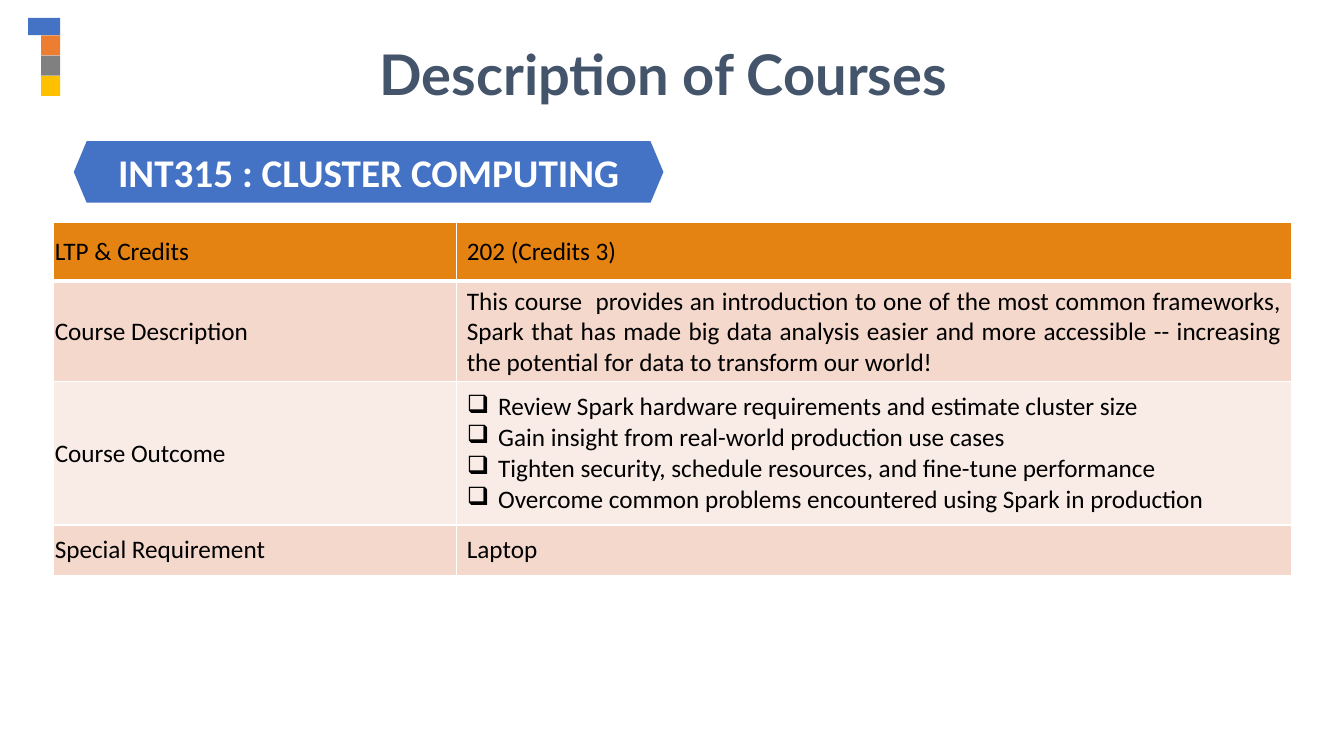
from lxml.etree import SubElement
from pptx import Presentation
from pptx.dml.color import RGBColor
from pptx.enum.shapes import MSO_SHAPE
from pptx.enum.text import MSO_ANCHOR, MSO_AUTO_SIZE, PP_ALIGN
from pptx.oxml import parse_xml
from pptx.oxml.ns import nsdecls, qn
from pptx.util import Cm, Pt

COLORS = {
    "blue": "4472C4", "orange": "ED7D31", "gray": "808080", "yellow": "FFC000",
    "title": "44546A", "white": "FFFFFF", "black": "000000",
    "header": "E48312", "band": "F4D8CC", "light": "F9ECE7",
}
TITLE = "Description of Courses"
COURSE = "INT315 : CLUSTER COMPUTING"
ROWS = [
    ("LTP & Credits", ["202 (Credits 3)"], 1.47, "header", PP_ALIGN.LEFT),
    ("Course Description",
     ["This course  provides an introduction to one of the most common frameworks, "
      "Spark that has made big data analysis easier and more accessible -- increasing "
      "the potential for data to transform our world!"], 2.51, "band", PP_ALIGN.JUSTIFY),
    ("Course Outcome",
     ["Review Spark hardware requirements and estimate cluster size",
      "Gain insight from real-world production use cases",
      "Tighten security, schedule resources, and fine-tune performance",
      "Overcome common problems encountered using Spark in production"],
     3.61, "light", PP_ALIGN.JUSTIFY),
    ("Special Requirement", ["Laptop"], 1.27, "band", PP_ALIGN.LEFT),
]
COL_WIDTHS = [10.16, 21.03]
BLOCKS = ["orange", "gray", "yellow"]


def rgb(name):
    return RGBColor.from_string(COLORS[name])


def add_block(s, kind, x, y, w, h, color):
    sp = s.shapes.add_shape(kind, Cm(x), Cm(y), Cm(w), Cm(h))
    sp.shadow.inherit = False
    sp.fill.solid()
    sp.fill.fore_color.rgb = rgb(color)
    sp.line.fill.background()
    return sp


def write(tf, lines, font, size, color, bold=False, align=PP_ALIGN.CENTER):
    tf.text = "\n".join(lines)
    for p in tf.paragraphs:
        p.alignment = align
        for r in p.runs:
            r.font.name = font
            r.font.size = Pt(size)
            r.font.bold = bold
            r.font.color.rgb = rgb(color)


def add_bullets(tf):
    for p in tf.paragraphs:
        pPr = p._p.get_or_add_pPr()
        pPr.set("marL", str(Cm(0.79)))
        pPr.set("indent", str(-Cm(0.79)))
        SubElement(pPr, qn("a:buChar")).set("char", "❑")


def set_borders(cell, widths):
    tcPr = cell._tc.get_or_add_tcPr()
    for i, (side, width) in enumerate(widths.items()):
        tcPr.insert(i, parse_xml(
            f'<a:ln{side} {nsdecls("a")} w="{Pt(width)}"><a:solidFill>'
            f'<a:srgbClr val="{COLORS["white"]}"/></a:solidFill></a:ln{side}>'))


def add_courses_table(s):
    heights = [row[2] for row in ROWS]
    frame = s.shapes.add_table(len(ROWS), len(COL_WIDTHS), Cm(1.35), Cm(5.61),
                               Cm(sum(COL_WIDTHS)), Cm(sum(heights)))
    table = frame.table
    table.first_row = table.horz_banding = False
    for col, width in zip(table.columns, COL_WIDTHS):
        col.width = Cm(width)
    for i, (label, lines, height, color, align) in enumerate(ROWS):
        table.rows[i].height = Cm(height)
        for j, content in enumerate(([label], lines)):
            cell = table.cell(i, j)
            cell.vertical_anchor = MSO_ANCHOR.MIDDLE
            cell.fill.solid()
            cell.fill.fore_color.rgb = rgb(color)
            write(cell.text_frame, content, "Calibri", 18, "black",
                  align=align if j else PP_ALIGN.LEFT)
            if j == 0:
                cell.margin_left = cell.margin_right = Cm(0.03)
            if len(content) > 1:
                add_bullets(cell.text_frame)
            set_borders(cell, {"L": 0.96, "R": 0.96,
                               "T": 3 if i == 1 else 0.96,
                               "B": 3 if i == 0 else 0.96})


def main():
    prs = Presentation()
    prs.slide_width, prs.slide_height = Cm(33.87), Cm(19.05)
    s = prs.slides.add_slide(prs.slide_layouts[6])

    add_block(s, MSO_SHAPE.RECTANGLE, 0.71, 0.45, 0.81, 0.44, "blue")
    for i, color in enumerate(BLOCKS):
        add_block(s, MSO_SHAPE.RECTANGLE, 1.04, 0.89 + 0.51 * i, 0.48, 0.51, color)

    title = s.shapes.add_textbox(Cm(8.28), Cm(0.86), Cm(16.87), Cm(1.96))
    tf = title.text_frame
    tf.word_wrap = True
    tf.auto_size = MSO_AUTO_SIZE.SHAPE_TO_FIT_TEXT
    write(tf, [TITLE], "Lato", 40, "title", bold=True)

    banner = add_block(s, MSO_SHAPE.HEXAGON, 1.86, 3.56, 14.86, 1.55, "blue")
    banner.adjustments[0] = 0.21
    tf = banner.text_frame
    tf.word_wrap = False
    tf.vertical_anchor = MSO_ANCHOR.MIDDLE
    write(tf, [COURSE], "Calibri", 28, "white", bold=True)

    add_courses_table(s)
    prs.save("out.pptx")


if __name__ == "__main__":
    main()
